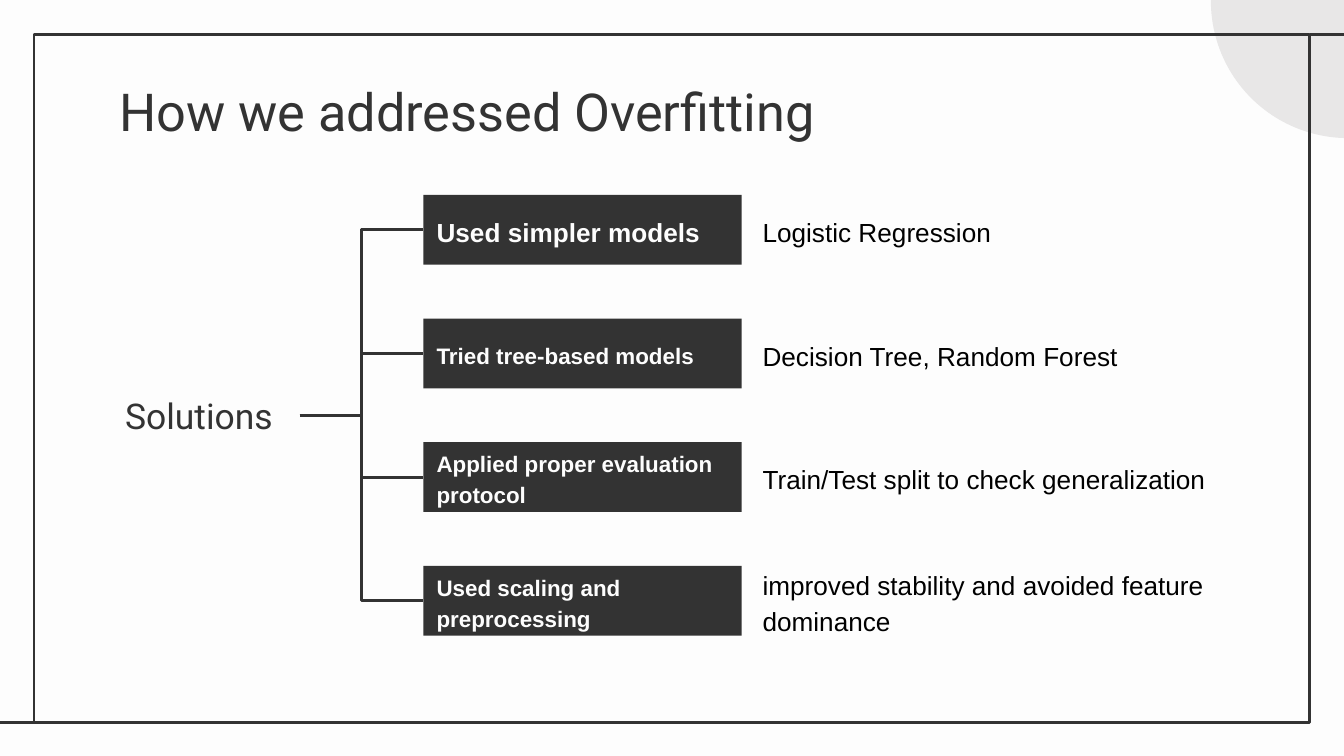
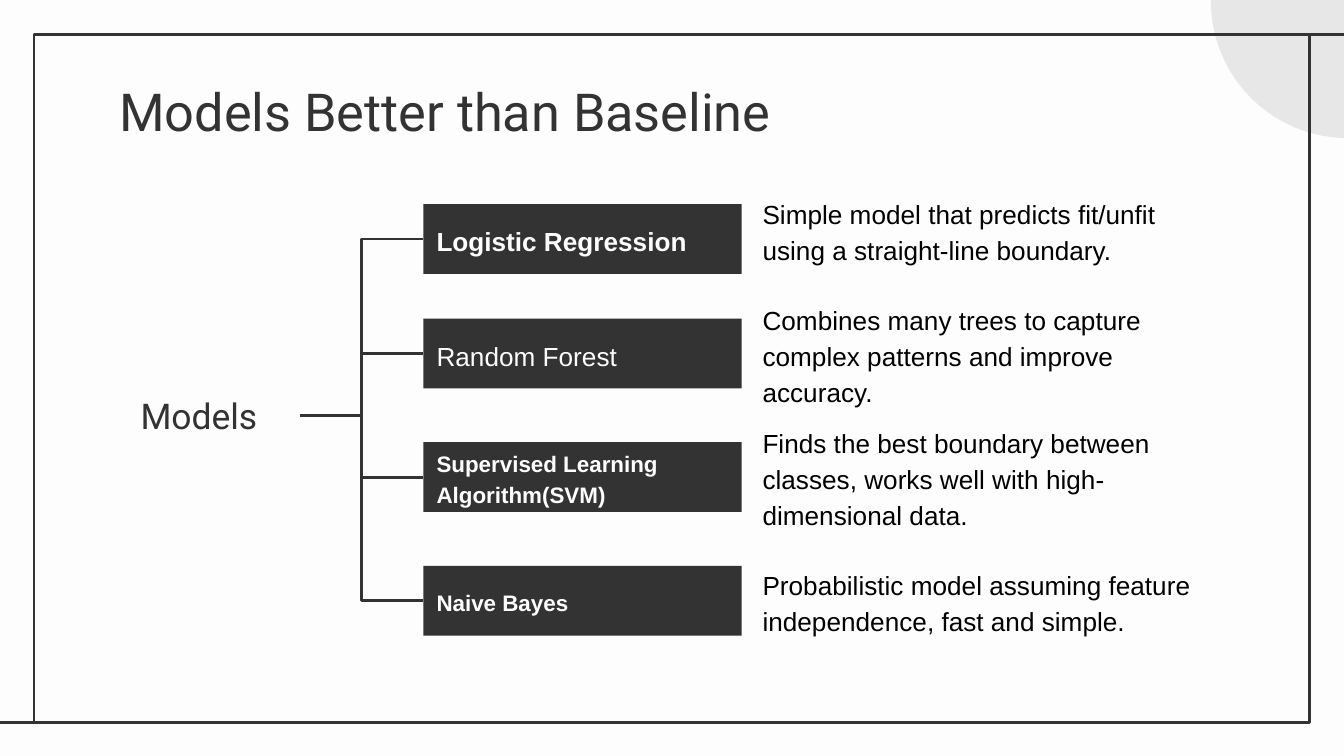
from dataclasses import dataclass

from lxml.etree import SubElement
from pptx import Presentation
from pptx.dml.color import RGBColor
from pptx.enum.shapes import MSO_CONNECTOR as Connector, MSO_SHAPE as Shape
from pptx.enum.text import MSO_ANCHOR as Anchor, PP_ALIGN as Align
from pptx.oxml.ns import qn
from pptx.util import Pt


@dataclass(frozen=True)
class Theme:
    paper: RGBColor = RGBColor.from_string("FDFDFD")
    ink: RGBColor = RGBColor.from_string("333333")
    corner: RGBColor = RGBColor.from_string("E8E7E7")
    body: RGBColor = RGBColor.from_string("000000")
    heading_font: str = "Roboto"
    body_font: str = "Arial"
    title_size: int = 28
    root_size: int = 19
    large_size: int = 14
    small_size: int = 12
    line_width: float = 1.5
    inset: float = 7.2
    spacing: float = 1.15


theme = Theme()


def write(shape, text, font_name, size, color, anchor=Anchor.MIDDLE,
          align=Align.LEFT, bold=False, spacing=theme.spacing):
    frame = shape.text_frame
    frame.text = text
    frame.word_wrap = True
    frame.vertical_anchor = anchor
    frame.margin_left = frame.margin_right = Pt(theme.inset)
    frame.margin_top = frame.margin_bottom = Pt(theme.inset)
    paragraph = frame.paragraphs[0]
    paragraph.alignment = align
    paragraph.line_spacing = spacing
    font = paragraph.runs[0].font
    font.name = font_name
    font.size = Pt(size)
    font.bold = bold
    font.color.rgb = color


def connect(slide, kind, *ends):
    connector = slide.shapes.add_connector(kind, *map(Pt, ends))
    connector.line.color.rgb = theme.ink
    connector.line.width = Pt(theme.line_width)
    SubElement(connector._element.spPr, qn("a:effectLst"))


first_center, row_pitch = 123.1, 66.25
box_left, box_width, box_height = 226.8, 170.6, 37.4
detail_left, detail_width, detail_height = 401.4, 262, 55.4
root_left, root_top, root_width, root_height = 52.6, 203.8, 108, 37.4
root_center = first_center + 1.5 * row_pitch

trees = [
    ("How we addressed Overfitting", "Solutions", [
        ("Used simpler models", theme.large_size, True, 0,
         "Logistic Regression"),
        ("Tried tree-based models", theme.small_size, True, 0,
         "Decision Tree, Random Forest"),
        ("Applied proper evaluation protocol", theme.small_size, True, 0,
         "Train/Test split to check generalization"),
        ("Used scaling and preprocessing", theme.small_size, True, 0,
         "improved stability and avoided feature dominance"),
    ]),
    ("Models Better than Baseline", "Models", [
        ("Logistic Regression", theme.large_size, True, 5,
         "Simple model that predicts fit/unfit using a straight-line boundary."),
        ("Random Forest", theme.large_size, False, 0,
         "Combines many trees to capture complex patterns and improve accuracy."),
        ("Supervised Learning Algorithm(SVM)", theme.small_size, True, 0,
         "Finds the best boundary between classes, works well with high-dimensional data."),
        ("Naive Bayes", theme.small_size, True, 0,
         "Probabilistic model assuming feature independence, fast and simple."),
    ]),
]

presentation = Presentation()
presentation.slide_width = Pt(720)
presentation.slide_height = Pt(405)

for title, root, branches in trees:
    slide = presentation.slides.add_slide(presentation.slide_layouts[6])
    slide.background.fill.solid()
    slide.background.fill.fore_color.rgb = theme.paper

    circle = slide.shapes.add_shape(Shape.OVAL, Pt(648.7), Pt(-73), Pt(147), Pt(147))
    circle.shadow.inherit = False
    circle.fill.solid()
    circle.fill.fore_color.rgb = theme.corner
    circle.line.fill.background()

    border = slide.shapes.add_shape(Shape.RECTANGLE, Pt(18.2), Pt(18.3), Pt(683.5), Pt(368.8))
    border.shadow.inherit = False
    border.fill.background()
    border.line.color.rgb = theme.ink
    border.line.width = Pt(theme.line_width)
    connect(slide, Connector.STRAIGHT, 18.5, 387.1, -1.5, 387.1)
    connect(slide, Connector.STRAIGHT, 722, 18.3, 702, 18.3)

    title_box = slide.shapes.add_textbox(Pt(56.9), Pt(35.3), Pt(607), Pt(45.4))
    write(title_box, title, theme.heading_font, theme.title_size, theme.ink,
          anchor=Anchor.TOP, spacing=1.0)

    root_box = slide.shapes.add_textbox(Pt(root_left), Pt(root_top), Pt(root_width), Pt(root_height))
    write(root_box, root, theme.heading_font, theme.root_size, theme.ink,
          anchor=Anchor.BOTTOM, align=Align.CENTER)

    for row, (label, size, bold, shift, detail) in enumerate(branches):
        row_center = first_center + row * row_pitch
        box_center = row_center + shift

        detail_box = slide.shapes.add_textbox(
            Pt(detail_left), Pt(row_center - detail_height / 2), Pt(detail_width), Pt(detail_height))
        write(detail_box, detail, theme.body_font, theme.large_size, theme.body)

        box = slide.shapes.add_shape(
            Shape.RECTANGLE, Pt(box_left), Pt(box_center - box_height / 2), Pt(box_width), Pt(box_height))
        box.shadow.inherit = False
        box.fill.solid()
        box.fill.fore_color.rgb = theme.ink
        box.line.fill.background()
        write(box, label, theme.body_font, size, theme.paper, bold=bold)

        connect(slide, Connector.ELBOW, root_left + root_width, root_center, box_left, box_center)

presentation.save("out.pptx")
